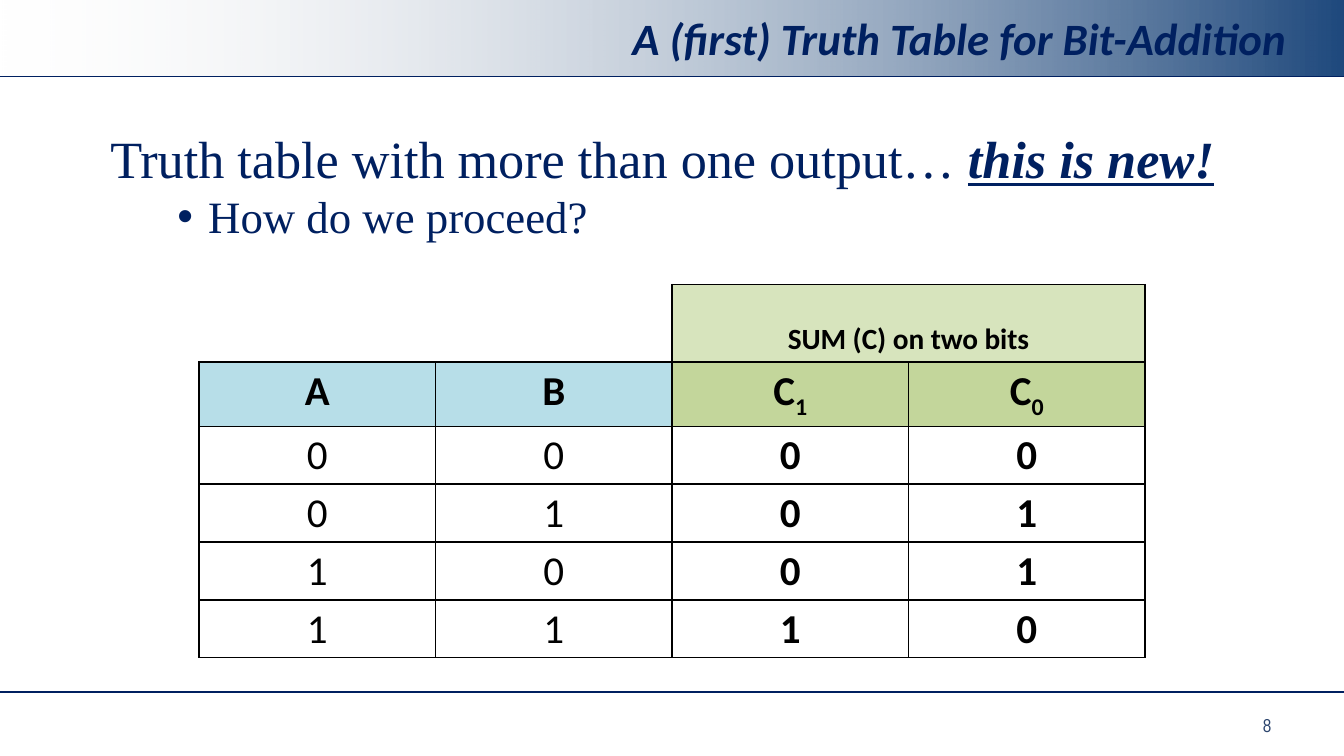
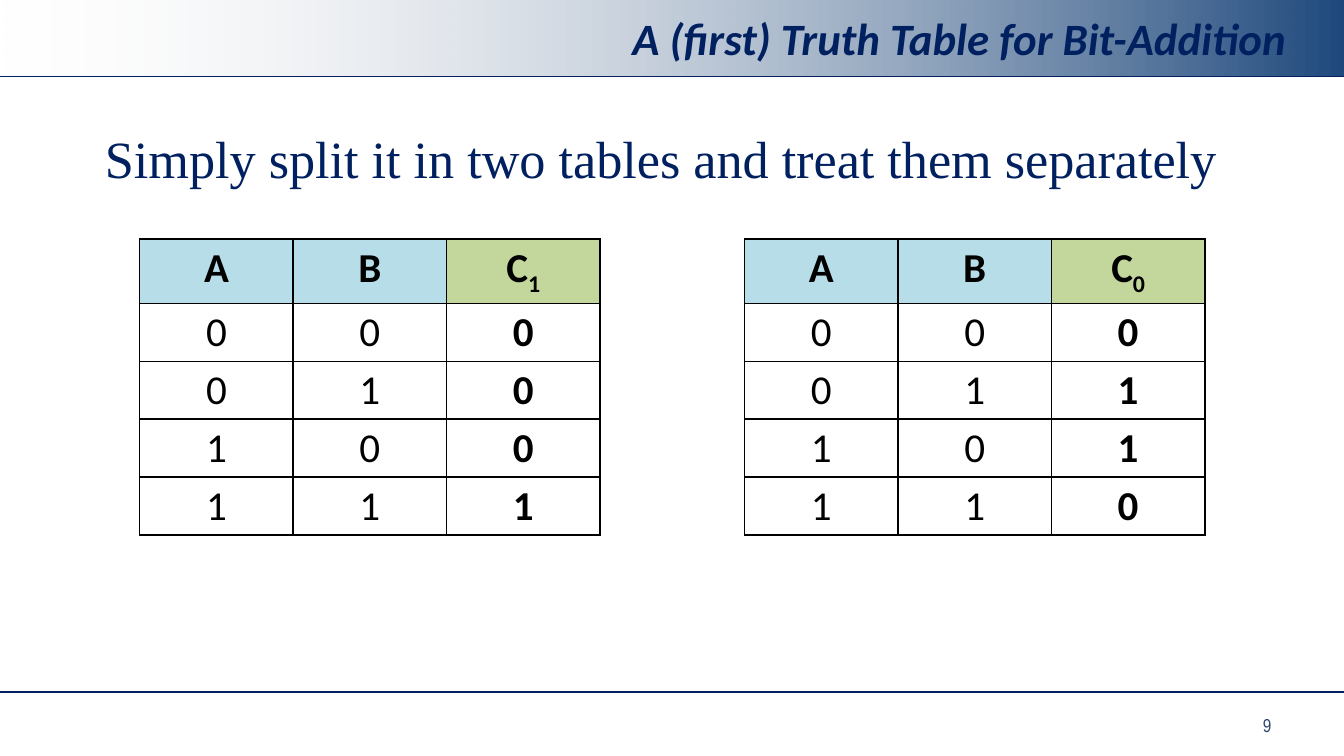
from itertools import product

from lxml import etree
from pptx import Presentation
from pptx.dml.color import RGBColor
from pptx.enum import shapes, text
from pptx.oxml.ns import qn
from pptx.util import Cm, Pt

COLORS = {
    "navy": "002060",
    "band_start": "EAEAEA",
    "band_end": "1F497D",
    "number": "2C456E",
    "black": "000000",
    "input": "B7DEE8",
    "output": "C3D69B",
    "sum": "D7E4BD",
}
WIDTH, HEIGHT = Cm(25.4), Cm(14.29)
BAND_HEIGHT, FOOTER_TOP = Cm(1.45), Cm(13.08)
ROW_HEIGHT = Cm(1.09)
TITLE = "A (first) Truth Table for Bit-Addition"
INPUTS = ["A", "B"]
OUTPUTS = {"C1": lambda a, b: a & b, "C0": lambda a, b: a ^ b}


def color(name):
    return RGBColor.from_string(COLORS[name])


def style(font, face, size, tint, bold=None, italic=None):
    font.name, font.size = face, Pt(size)
    font.bold, font.italic = bold, italic
    font.color.rgb = color(tint)


def place(shape, left, top, width, height):
    shape.left, shape.top, shape.width, shape.height = left, top, width, height


def add_rule(page, top):
    rule = page.shapes.add_connector(shapes.MSO_CONNECTOR.STRAIGHT, WIDTH, top, 0, top)
    rule.line.color.rgb = color("navy")
    rule.line.width = Pt(0.75)
    etree.SubElement(rule._element.spPr, qn("a:effectLst"))


def add_header(page):
    band = page.shapes.add_shape(shapes.MSO_SHAPE.RECTANGLE, 0, 0, WIDTH, BAND_HEIGHT)
    band.shadow.inherit = False
    band.line.fill.background()
    band.fill.gradient()
    band.fill.gradient_angle = 0
    for stop, name in zip(band.fill.gradient_stops, ("band_start", "band_end")):
        stop.color.rgb = color(name)
    # The light end fades out completely
    first_color = next(band._element.spPr.iter(qn("a:srgbClr")))
    etree.SubElement(first_color, qn("a:alpha"), val="0")
    add_rule(page, BAND_HEIGHT)

    title = page.shapes.title
    place(title, Cm(1.27), Cm(0.08), Cm(23.29), Cm(1.27))
    title.text_frame.text = TITLE
    title.text_frame.vertical_anchor = text.MSO_ANCHOR.MIDDLE
    para = title.text_frame.paragraphs[0]
    para.alignment = text.PP_ALIGN.RIGHT
    style(para.font, "Calibri", 24, "navy", bold=True, italic=True)
    page.shapes._spTree.append(title._element)  # in front of the band


def add_footer(page, number):
    add_rule(page, FOOTER_TOP)
    box = page.shapes.add_textbox(Cm(23.62), Cm(13.36), Cm(1.4), Cm(0.69))
    box.text_frame.word_wrap = True
    box.text_frame.text = str(number)
    style(box.text_frame.paragraphs[0].font, "Arial Narrow", 10, "number")


def add_page(deck, number):
    page = deck.slides.add_slide(deck.slide_layouts[1])
    add_header(page)
    add_footer(page, number)
    return page


def format_body_line(para, size, indent=0, bullet=None):
    props = para._p.get_or_add_pPr()
    hanging = Cm(-0.58) if bullet else 0
    props.set("marL", str(indent))
    props.set("indent", str(hanging))
    if bullet:
        etree.SubElement(props, qn("a:buFont"), typeface="Arial")
        etree.SubElement(props, qn("a:buChar"), char=bullet)
    else:
        etree.SubElement(props, qn("a:buNone"))
    para.alignment = text.PP_ALIGN.JUSTIFY
    para.space_before = Pt(0)
    style(para.font, "Times New Roman", size, "navy")


def add_statement(page, box, statement, emphasis=None, follow_up=None):
    """Fill the body placeholder with a main line and an optional bullet."""
    body = page.placeholders[1]
    place(body, *box)
    frame = body.text_frame
    frame.auto_size = text.MSO_AUTO_SIZE.SHAPE_TO_FIT_TEXT
    frame.text = statement
    format_body_line(frame.paragraphs[0], 28)
    if emphasis:
        span = frame.paragraphs[0].add_run()
        span.text = emphasis
        span.font.bold = span.font.italic = span.font.underline = True
    if follow_up:
        para = frame.add_paragraph()
        para.text = follow_up
        para.level = 1
        format_body_line(para, 24, Cm(1.85), "•")


def format_cell(cell, fill=None, sides="LRTB"):
    """Set insets, black borders on the given sides, and the fill."""
    cell.margin_left = cell.margin_right = Cm(0.15)
    cell.margin_top = cell.margin_bottom = Cm(0.08)
    props = cell._tc.get_or_add_tcPr()
    for side in sides:
        border = etree.SubElement(props, qn(f"a:ln{side}"), w=str(Pt(1)))
        solid = etree.SubElement(border, qn("a:solidFill"))
        etree.SubElement(solid, qn("a:srgbClr"), val=COLORS["black"])
    if fill:
        cell.fill.solid()
        cell.fill.fore_color.rgb = color(fill)
    else:
        cell.fill.background()


def write_cell(cell, label, subscript="", size=22, bold=True):
    para = cell.text_frame.paragraphs[0]
    para.alignment = text.PP_ALIGN.CENTER
    style(para.font, "Calibri", size, "black", bold=bold)
    if label:
        para.add_run().text = label
    if subscript:
        span = para.add_run()
        span.text = subscript
        span._r.get_or_add_rPr().set("baseline", "-25000")


def add_sum_heading(table):
    """Head the output columns with one merged cell in the first row."""
    first, last = len(INPUTS), len(table.columns) - 1
    for col in range(first):
        format_cell(table.cell(0, col), sides="RB" if col == first - 1 else "B")
    for col in range(first, last + 1):
        format_cell(table.cell(0, col), "sum")
    table.cell(0, first).merge(table.cell(0, last))
    write_cell(table.cell(0, first), "", "SUM (C) on two bits", size=27)


def add_truth_table(page, left, top, col_width, outputs, sum_heading=False):
    names = INPUTS + outputs
    cases = list(product((0, 1), repeat=len(INPUTS)))
    head = int(sum_heading)
    rows = head + 1 + len(cases)
    table = page.shapes.add_table(
        rows, len(names), left, top, col_width * len(names), ROW_HEIGHT * rows
    ).table
    table.first_row = table.horz_banding = False
    for column in table.columns:
        column.width = col_width
    for row in table.rows:
        row.height = ROW_HEIGHT
    if sum_heading:
        add_sum_heading(table)

    for col, name in enumerate(names):
        is_output = name in OUTPUTS
        heading = table.cell(head, col)
        format_cell(heading, "output" if is_output else "input")
        write_cell(heading, name[0], name[1:])
        for row, case in enumerate(cases, head + 1):
            bit = OUTPUTS[name](*case) if is_output else case[col]
            format_cell(table.cell(row, col))
            write_cell(table.cell(row, col), str(bit), bold=is_output)


def add_combined_slide(deck, number):
    page = add_page(deck, number)
    add_truth_table(page, Cm(3.76), Cm(5.38), Cm(4.47), list(OUTPUTS), sum_heading=True)
    add_statement(
        page,
        (Cm(1.83), Cm(2.26), Cm(21.77), Cm(2.49)),
        "Truth table with more than one output… ",
        "this is new!",
        "How do we proceed?",
    )


def add_split_slide(deck, number):
    page = add_page(deck, number)
    for left, output in zip((Cm(2.64), Cm(14.07)), OUTPUTS):
        add_truth_table(page, left, Cm(4.52), Cm(2.9), [output])
    add_statement(
        page,
        (Cm(1.73), Cm(2.26), Cm(21.97), Cm(1.45)),
        "Simply split it in two tables and treat them separately",
    )


def main():
    deck = Presentation()
    deck.slide_width, deck.slide_height = WIDTH, HEIGHT
    add_combined_slide(deck, 8)
    add_split_slide(deck, 9)
    deck.save("out.pptx")


if __name__ == "__main__":
    main()
